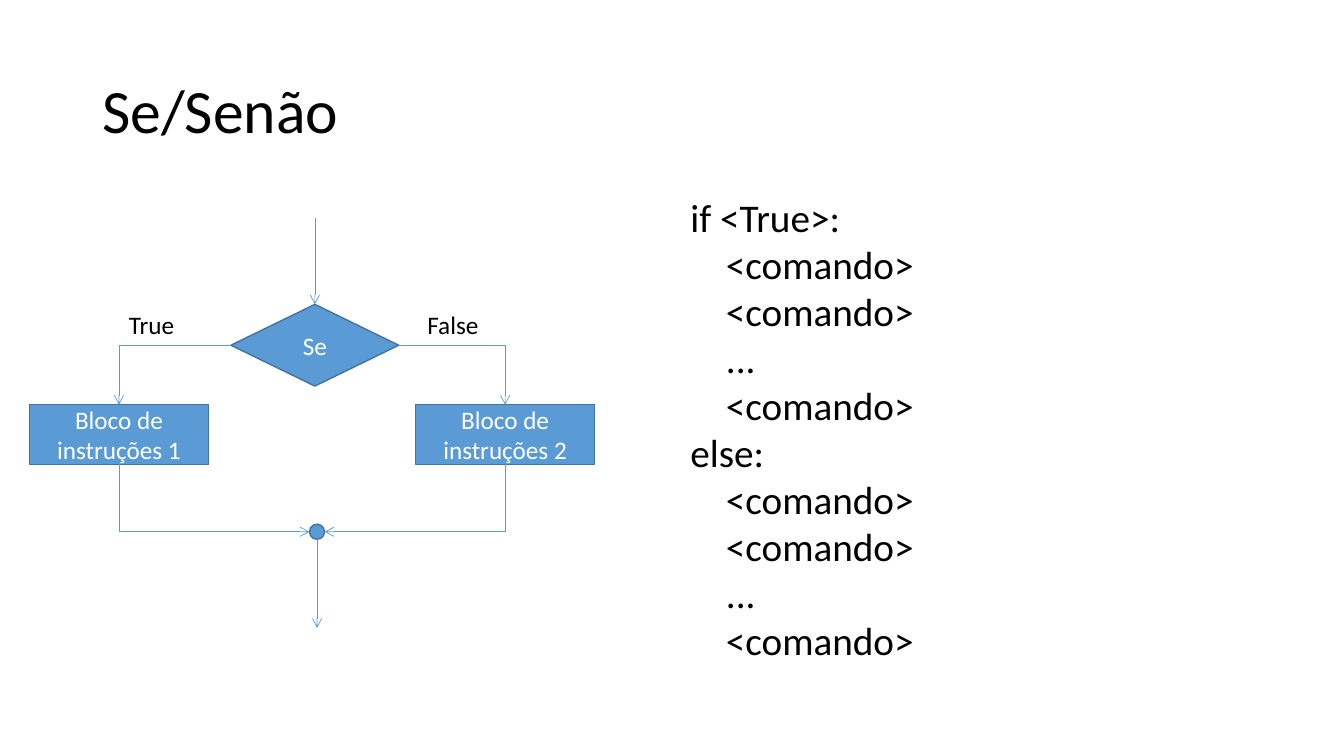
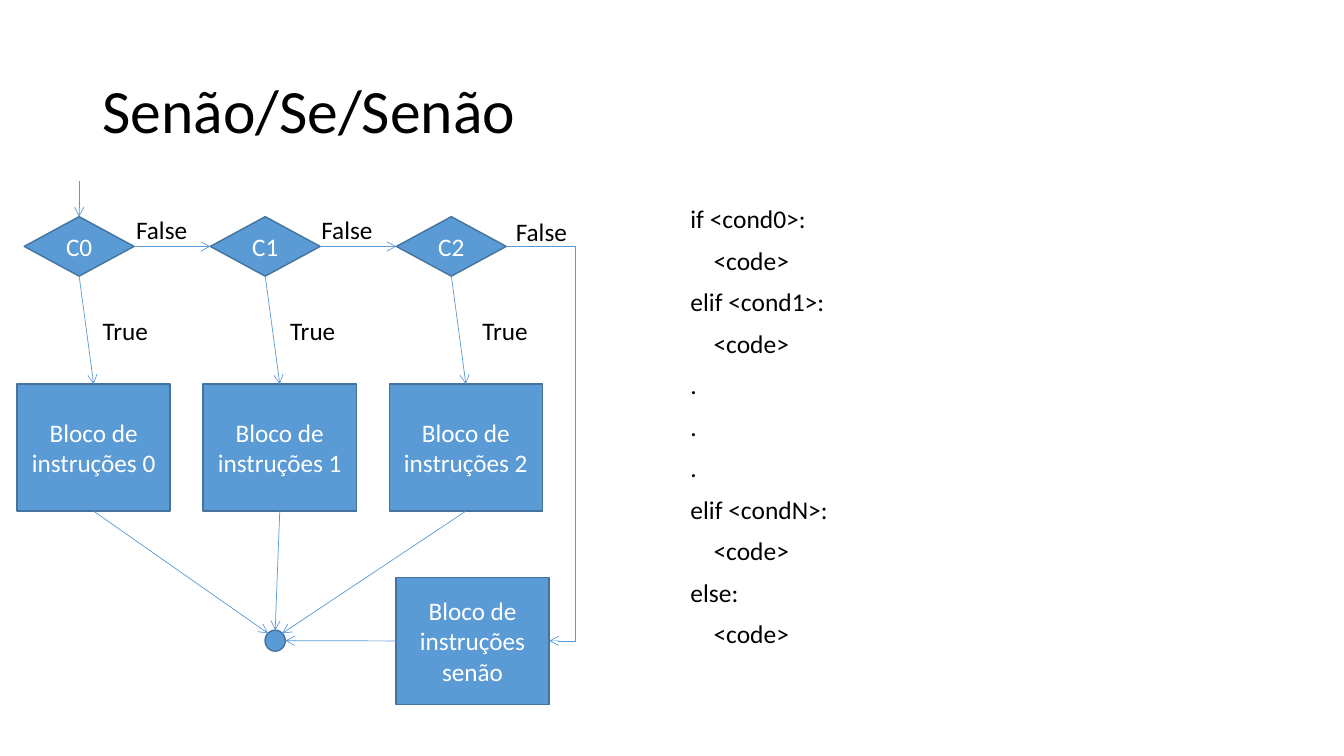
from lxml.etree import SubElement
from pptx import Presentation
from pptx.dml.color import RGBColor
from pptx.enum.shapes import MSO_CONNECTOR, MSO_SHAPE
from pptx.enum.text import MSO_ANCHOR, PP_ALIGN
from pptx.oxml.ns import qn
from pptx.util import Cm, Pt

COLORS = {"fill": "5B9BD5", "border": "43739E", "text": "000000", "inverse": "FFFFFF"}
FONT = "Calibri"
# Each side as a share of the shape's width and height
SIDES = {
    "top": (0.5, 0), "top left": (0.15, 0.15), "left": (0, 0.5), "bottom left": (0.15, 0.85),
    "bottom": (0.5, 1), "bottom right": (0.85, 0.85), "right": (1, 0.5), "top right": (0.85, 0.15),
}


def color(name):
    return RGBColor.from_string(COLORS[name])


class Deck:
    def __init__(self):
        self.presentation = Presentation()
        self.presentation.slide_width = Cm(33.87)
        self.presentation.slide_height = Cm(19.05)
        self.slide = None

    def add_slide(self, title):
        self.slide = self.presentation.slides.add_slide(self.presentation.slide_layouts[6])
        frame = self.text(title, 2.33, 1.01, 29.21, 3.68, 44)
        frame.vertical_anchor = MSO_ANCHOR.MIDDLE
        frame.paragraphs[0].line_spacing = 0.9

    def style(self, paragraph, size, color_name):
        for run in paragraph.runs:
            run.font.name = FONT
            run.font.size = Pt(size)
            run.font.color.rgb = color(color_name)

    def text(self, text, left, top, width, height, size=18):
        box = self.slide.shapes.add_textbox(Cm(left), Cm(top), Cm(width), Cm(height))
        frame = box.text_frame
        frame.word_wrap = True
        frame.text = text
        for paragraph in frame.paragraphs:
            self.style(paragraph, size, "text")
        return frame

    def label(self, text, left, top):
        self.text(text, left, top, 2.34, 1.02)

    def code(self, lines, size, line_spacing):
        frame = self.text("\n".join(lines), 17.15, 5.08, 14.4, 12.09, size)
        for paragraph in frame.paragraphs:
            paragraph.line_spacing = line_spacing
            paragraph.space_before = Pt(10)
            if paragraph.text.startswith(("<", "...")):
                properties = paragraph._p.get_or_add_pPr()
                properties.set("marL", str(Cm(size * 0.032)))
                properties.set("indent", "0")

    def node(self, kind, left, top, width, height, text=""):
        shape = self.slide.shapes.add_shape(kind, Cm(left), Cm(top), Cm(width), Cm(height))
        shape.shadow.inherit = False
        shape.fill.solid()
        shape.fill.fore_color.rgb = color("fill")
        shape.line.color.rgb = color("border")
        shape.line.width = Pt(1)
        if text:
            frame = shape.text_frame
            frame.text = text
            frame.word_wrap = True
            frame.vertical_anchor = MSO_ANCHOR.MIDDLE
            paragraph = frame.paragraphs[0]
            paragraph.alignment = PP_ALIGN.CENTER
            self.style(paragraph, 18, "inverse")
        return shape

    def point(self, shape, side):
        across, down = SIDES[side]
        return int(shape.left + across * shape.width), int(shape.top + down * shape.height)

    def draw_arrow(self, begin, end, kind=MSO_CONNECTOR.STRAIGHT):
        connector = self.slide.shapes.add_connector(kind, *begin, *end)
        connector.line.color.rgb = color("fill")
        connector.line.width = Pt(0.5)
        properties = connector._element.spPr
        SubElement(properties.find(qn("a:ln")), qn("a:tailEnd"), type="arrow")
        SubElement(properties, qn("a:effectLst"))
        return connector

    def glue(self, connector, tag, shape, side):
        site = list(SIDES).index(side)
        if shape.auto_shape_type != MSO_SHAPE.FLOWCHART_CONNECTOR:
            site //= 2  # only the circle has corner sites
        target = connector._element.nvCxnSpPr.cNvCxnSpPr
        SubElement(target, qn(tag), id=str(shape.shape_id), idx=str(site))

    def connect(self, start, start_side, finish, finish_side, bend=None, reach=None):
        """bend is "across" or "down" (first leg), or "around" with a reach."""
        begin, end = self.point(start, start_side), self.point(finish, finish_side)
        if bend == "down":
            # Unrotated frame of a connector that is turned by 90 degrees
            middle_x, middle_y = (begin[0] + end[0]) // 2, (begin[1] + end[1]) // 2
            half_x, half_y = (end[0] - begin[0]) // 2, (end[1] - begin[1]) // 2
            begin = middle_x - half_y, middle_y + half_x
            end = middle_x + half_y, middle_y - half_x
        kind = MSO_CONNECTOR.ELBOW if bend else MSO_CONNECTOR.STRAIGHT
        connector = self.draw_arrow(begin, end, kind)
        properties = connector._element.spPr
        geometry = properties.find(qn("a:prstGeom"))
        if bend in ("across", "down"):
            geometry.set("prst", "bentConnector2")
        if bend == "down":
            properties.find(qn("a:xfrm")).set("rot", "5400000")
        if bend == "around":
            guides = geometry.find(qn("a:avLst"))
            SubElement(guides, qn("a:gd"), name="adj1", fmla=f"val {reach}")
        self.glue(connector, "a:stCxn", start, start_side)
        self.glue(connector, "a:endCxn", finish, finish_side)

    def enter(self, shape, top):
        x, y = self.point(shape, "top")
        self.draw_arrow((x, Cm(top)), (x, y))

    def leave(self, shape, bottom):
        x, y = self.point(shape, "bottom")
        self.draw_arrow((x, y), (x, Cm(bottom)))


deck = Deck()

# Slide 1: two branches
deck.add_slide("Se/Senão")
commands = ["<comando>", "<comando>", "...", "<comando>"]
deck.code(["if <True>:", *commands, "else:", *commands], 28, 0.7)
decision = deck.node(MSO_SHAPE.FLOWCHART_DECISION, 5.82, 7.67, 4.23, 2.06, "Se")
junction = deck.node(MSO_SHAPE.FLOWCHART_CONNECTOR, 7.8, 13.21, 0.38, 0.38)
deck.enter(decision, 5.49)
deck.leave(junction, 15.82)
branches = [("left", 0.74, "True", 3), ("right", 10.47, "False", 10.52)]
for number, (side, left, answer, label_left) in enumerate(branches, 1):
    block = deck.node(MSO_SHAPE.FLOWCHART_PROCESS, left, 10.2, 4.52, 1.5,
                      f"Bloco de instruções {number}")
    deck.connect(decision, side, block, "top", "across")
    deck.connect(block, "bottom", junction, side, "down")
    deck.label(answer, label_left, 7.67)

# Slide 2: chain of conditions
deck.add_slide("Senão/Se/Senão")
deck.code(["if <cond0>:", "<code>", "elif <cond1>:", "<code>", ".", ".", ".",
           "elif <condN>:", "<code>", "else:", "<code>"], 18.2, 0.9)
junction = deck.node(MSO_SHAPE.FLOWCHART_CONNECTOR, 6.68, 15.88, 0.51, 0.53)
otherwise = deck.node(MSO_SHAPE.RECTANGLE, 9.98, 14.55, 3.86, 3.2, "Bloco de instruções senão")
conditions = []
for number, side in enumerate(["top left", "top", "top right"]):
    shift = 4.69 * number
    condition = deck.node(MSO_SHAPE.FLOWCHART_DECISION, 0.61 + shift, 5.46, 2.77, 1.5,
                          f"C{number}")
    block = deck.node(MSO_SHAPE.RECTANGLE, 0.43 + shift, 9.68, 3.86, 3.2,
                      f"Bloco de instruções {number}")
    deck.connect(condition, "bottom", block, "top")
    deck.connect(block, "bottom", junction, side)
    conditions.append(condition)
for condition, following in zip(conditions, conditions[1:]):
    deck.connect(condition, "right", following, "left")
deck.enter(conditions[0], 4.55)
deck.connect(conditions[-1], "right", otherwise, "right", "around", 160700)
deck.connect(otherwise, "left", junction, "right")
for left, top in [(3.18, 5.28), (7.85, 5.28), (12.75, 5.33)]:
    deck.label("False", left, top)
for left in (2.34, 7.06, 11.91):
    deck.label("True", left, 7.82)

deck.presentation.save("out.pptx")
